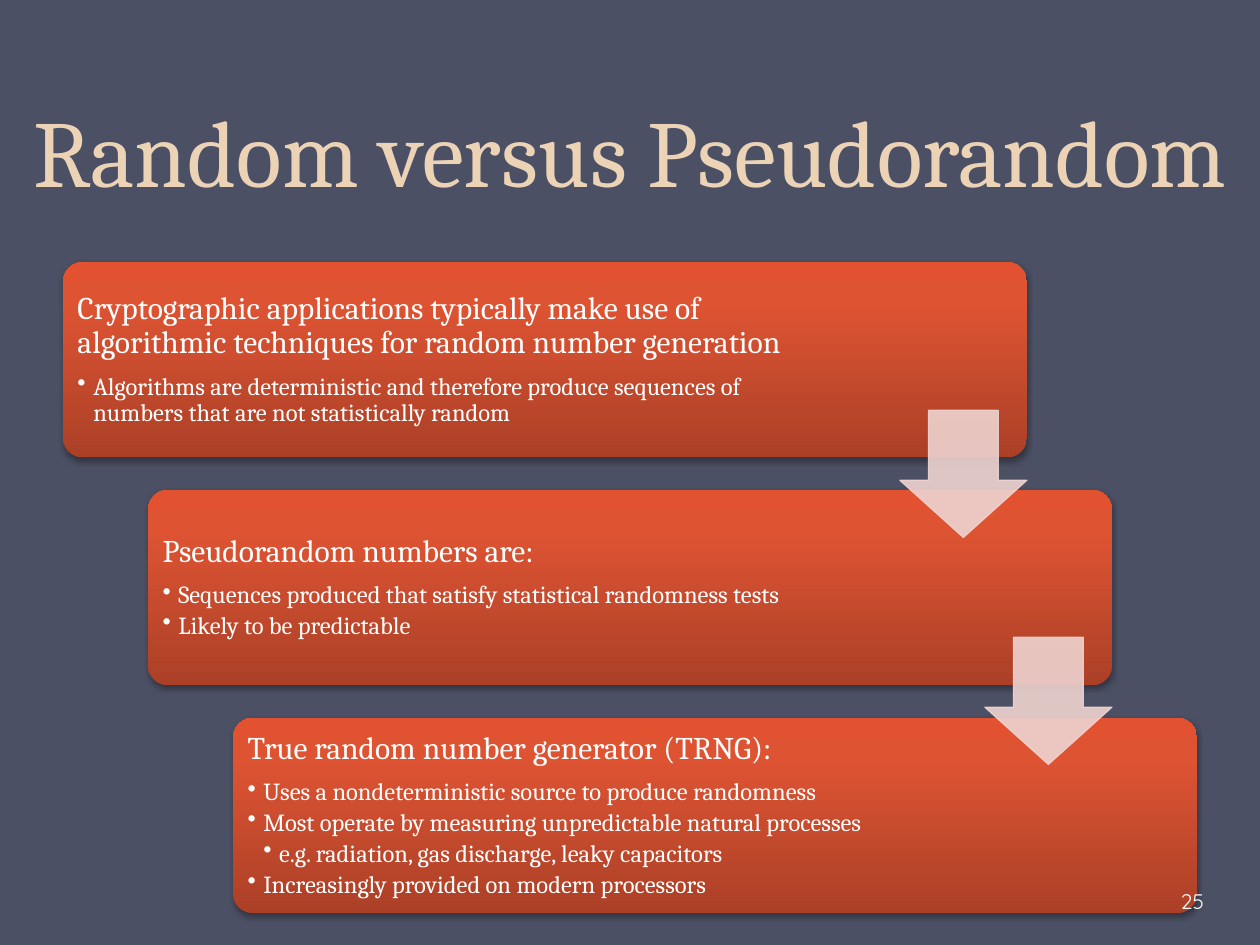
import pptx
import pptx.dml.color
import pptx.enum.shapes
import pptx.enum.text
import pptx.oxml
import pptx.util
from lxml import etree

Pt = pptx.util.Pt
SHAPE = pptx.enum.shapes.MSO_SHAPE
ALIGN = pptx.enum.text.PP_ALIGN
ANCHOR = pptx.enum.text.MSO_ANCHOR
NS = 'xmlns:a="http://schemas.openxmlformats.org/drawingml/2006/main"'
qn = pptx.oxml.ns.qn

COLORS = {
    "back": "4B5064", "title": "EDD3B6", "text": "FFFFFF", "arrow": "EED3D0",
    "dark": "AB4027", "mid": "DE5433", "light": "E35230", "shadow": "000000",
}


def rgb(name):
    return pptx.dml.color.RGBColor.from_string(COLORS[name])


class Deck:
    def __init__(self, slide, font="Cambria"):
        self.slide = slide
        self.font = font

    def style(self, para, size, color="text", font=None):
        para.font.size = Pt(size)
        para.font.name = font or self.font
        para.font.color.rgb = rgb(color)

    def frame(self, shape, anchor, inset):
        frame = shape.text_frame
        frame.word_wrap = True
        frame.vertical_anchor = anchor
        frame.margin_left = frame.margin_right = Pt(inset)
        frame.margin_top = frame.margin_bottom = Pt(inset)
        return frame

    def title(self, text, box):
        shape = self.slide.shapes.title
        shape.left, shape.top, shape.width, shape.height = map(Pt, box)
        frame = self.frame(shape, ANCHOR.BOTTOM, 3.6)
        frame.auto_size = pptx.enum.text.MSO_AUTO_SIZE.NONE
        para = frame.paragraphs[0]
        para.text = text
        para.alignment = ALIGN.CENTER
        para.line_spacing = Pt(58)
        self.style(para, 54, "title")

    def card(self, box):
        shape = self.slide.shapes.add_shape(SHAPE.ROUNDED_RECTANGLE, *map(Pt, box))
        shape.adjustments[0] = 0.1
        shape.line.fill.background()
        # Three-stop gradient, dark at the bottom
        shape.fill.gradient()
        shape.fill.gradient_angle = 90
        stops = shape.element.spPr.find(".//" + qn("a:gsLst"))
        for stop in list(stops):
            stops.remove(stop)
        for place, name in ((0, "dark"), (80, "mid"), (100, "light")):
            stops.append(etree.fromstring(
                f'<a:gs {NS} pos="{place * 1000}">'
                f'<a:srgbClr val="{COLORS[name]}"/></a:gs>'))
        # Soft shadow below
        shape.shadow.inherit = False
        shape.element.spPr.find(qn("a:effectLst")).append(etree.fromstring(
            f'<a:outerShdw {NS} blurRad="{Pt(3.1)}" dist="{Pt(1.8)}" dir="5400000" '
            f'rotWithShape="0"><a:srgbClr val="{COLORS["shadow"]}">'
            '<a:alpha val="35000"/></a:srgbClr></a:outerShdw>'))

    def bullet(self, para, level):
        props = para._p.get_or_add_pPr()
        props.set("marL", str(Pt(9 * level)))
        props.set("indent", str(-Pt(9)))
        etree.SubElement(props, qn("a:buChar")).set("char", "•")

    def words(self, lines, box):
        shape = self.slide.shapes.add_textbox(*map(Pt, box))
        frame = self.frame(shape, ANCHOR.MIDDLE, 5)
        for i, (level, text) in enumerate(lines):
            para = frame.add_paragraph() if i else frame.paragraphs[0]
            para.text = text
            para.level = level
            para.line_spacing = 0.9
            para.space_after = Pt(2.5 if level else 7.5)
            if level:
                self.bullet(para, level)
            self.style(para, 14 if level else 18)

    def arrow(self, box):
        shape = self.slide.shapes.add_shape(SHAPE.DOWN_ARROW, *map(Pt, box))
        shape.adjustments[0], shape.adjustments[1] = 0.55, 0.45
        shape.shadow.inherit = False
        shape.fill.solid()
        shape.fill.fore_color.rgb = rgb("arrow")
        shape.line.color.rgb = rgb("arrow")
        shape.line.width = Pt(0.75)
        for color in shape.element.spPr.iter(qn("a:srgbClr")):
            etree.SubElement(color, qn("a:alpha")).set("val", "90000")

    def number(self, text, box):
        shape = self.slide.shapes.add_textbox(*map(Pt, box))
        frame = self.frame(shape, ANCHOR.MIDDLE, 3.6)
        frame.margin_left = Pt(2.2)
        para = frame.paragraphs[0]
        para.text = text
        self.style(para, 12, font="Quicksand")


# Each card: text width, then (level, text) lines
CARDS = [
    (430.5, [
        (0, "Cryptographic applications typically make use of algorithmic "
            "techniques for random number generation"),
        (1, "Algorithms are deterministic and therefore produce sequences of "
            "numbers that are not statistically random")]),
    (423.5, [
        (0, "Pseudorandom numbers are:"),
        (1, "Sequences produced that satisfy statistical randomness tests"),
        (1, "Likely to be predictable")]),
    (423.5, [
        (0, "True random number generator (TRNG):"),
        (1, "Uses a nondeterministic source to produce randomness"),
        (1, "Most operate by measuring unpredictable natural processes"),
        (2, "e.g. radiation, gas discharge, leaky capacitors"),
        (1, "Increasingly provided on modern processors")]),
]


def main():
    show = pptx.Presentation()
    show.slide_width, show.slide_height = Pt(720), Pt(540)
    slide = show.slides.add_slide(show.slide_layouts[5])
    slide.background.fill.solid()
    slide.background.fill.fore_color.rgb = rgb("back")
    deck = Deck(slide)
    deck.title("Random versus Pseudorandom", (0, 31.7, 720, 90))

    # Staircase of cards
    left, top, wide, high = 36, 149.8, 550.8, 111.6
    right, down, pad = 48.6, 130.2, 3.3
    for i, (span, lines) in enumerate(CARDS):
        x, y = left + i * right, top + i * down
        deck.card((x, y, wide, high))
        deck.words(lines, (x + pad, y + pad, span, high - 2 * pad))

    # Arrows from each card to the next
    side = 72.6
    for i in range(len(CARDS) - 1):
        deck.arrow((left + wide - side + i * right, 234.5 + i * 129.7, side, side))

    # Slide number
    deck.number("25", (672.5, 500.4, 43.9, 28.8))
    show.save("out.pptx")


if __name__ == "__main__":
    main()
